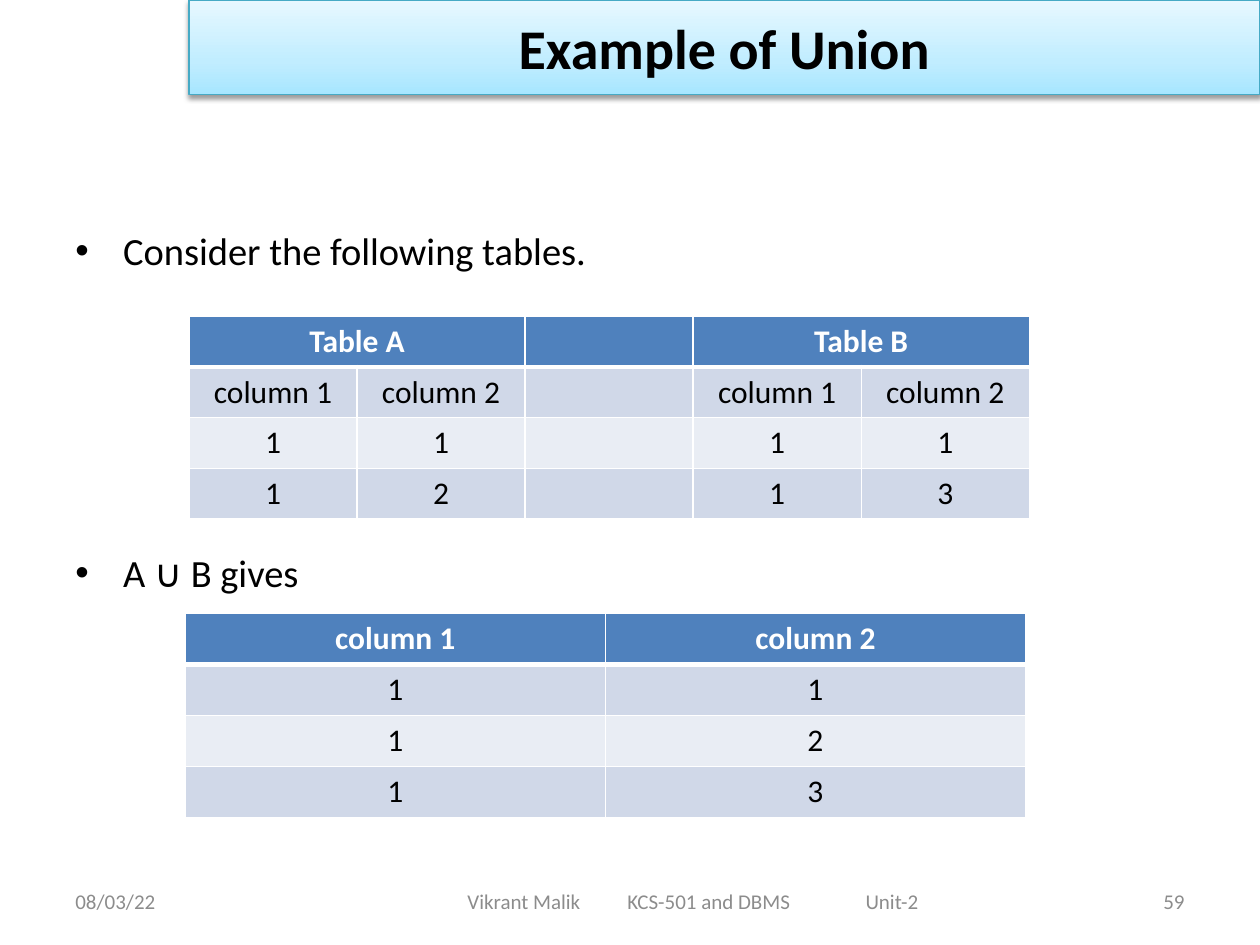
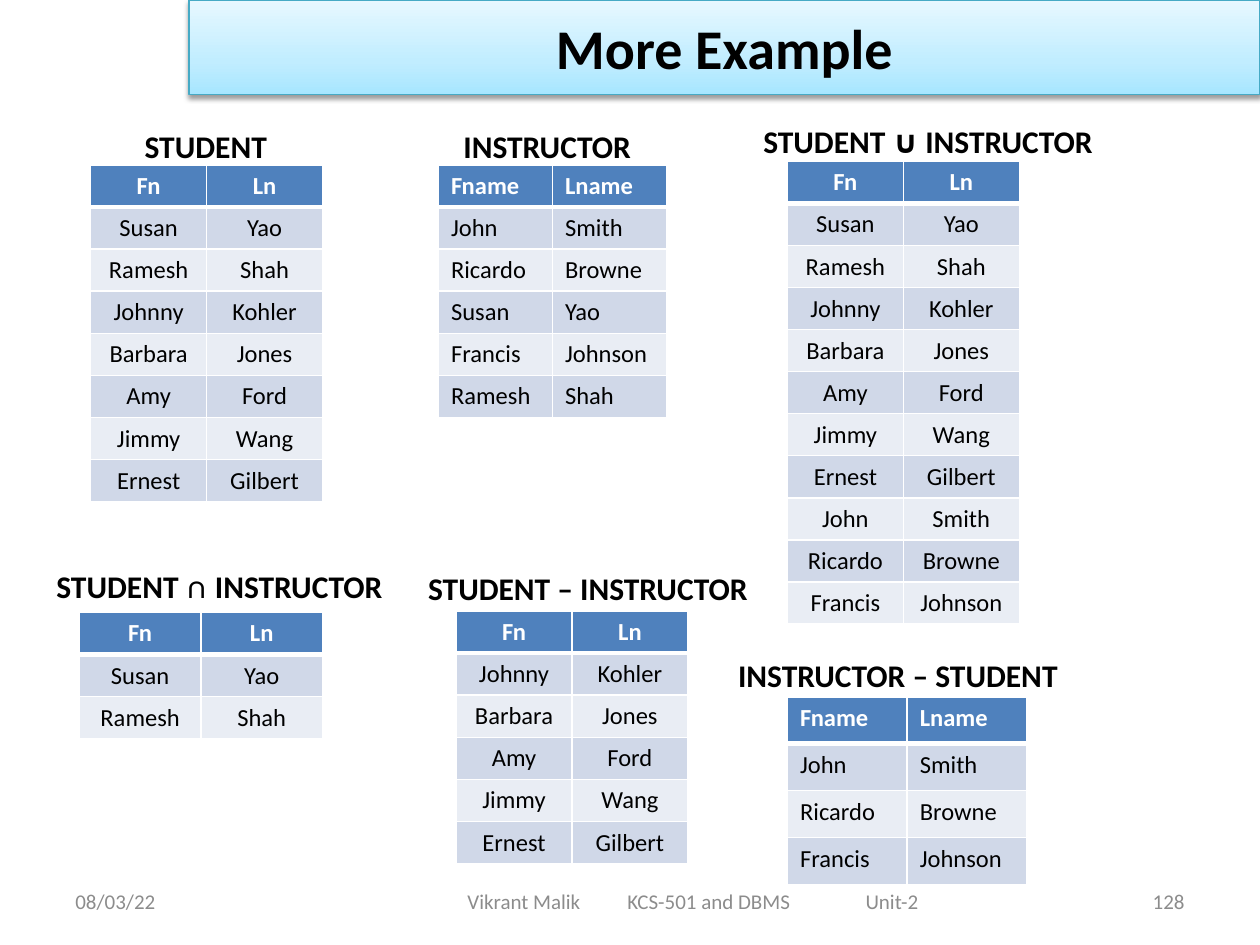
"""Builds two slides on set operations between relational tables."""
from copy import deepcopy

from lxml import etree
from pptx import Presentation
from pptx import util as u
from pptx.dml.color import RGBColor
from pptx.enum import shapes, text
from pptx.oxml.ns import qn

BLACK = RGBColor(0x00, 0x00, 0x00)
WHITE = RGBColor(0xFF, 0xFF, 0xFF)
GREY = RGBColor(0x8C, 0x8C, 0x8C)
HEADER_BLUE = RGBColor(0x4F, 0x81, 0xBD)
BANDS = (RGBColor(0xD0, 0xD8, 0xE8), RGBColor(0xE9, 0xED, 0xF4))
BANNER_LINE = RGBColor(0x46, 0xAA, 0xC5)
BANNER_STOPS = (
    (0, RGBColor(0xA7, 0xE6, 0xFF)),
    (0.35, RGBColor(0xC1, 0xED, 0xFF)),
    (1, RGBColor(0xE7, 0xF8, 0xFF)),
)
FONT = "Calibri"
LEFT, CENTER, RIGHT = text.PP_ALIGN.LEFT, text.PP_ALIGN.CENTER, text.PP_ALIGN.RIGHT
MIDDLE, TOP = text.MSO_ANCHOR.MIDDLE, text.MSO_ANCHOR.TOP

DATE = "08/03/22"
COURSE = "Vikrant Malik\tKCS-501 and DBMS\tUnit-2"
COURSE_TABS = (1.27, 3.16)

BULLETS = (("Consider the following tables.", 0), ("A ∪ B gives", 158))
TABLES_A_B = [
    ("Table A", "", "", "Table B", ""),
    ("column 1", "column 2", "", "column 1", "column 2"),
    ("1", "1", "", "1", "1"),
    ("1", "2", "", "1", "3"),
]
UNION_OF_A_B = [("column 1", "column 2"), ("1", "1"), ("1", "2"), ("1", "3")]

STUDENTS = [
    ("Susan", "Yao"), ("Ramesh", "Shah"), ("Johnny", "Kohler"), ("Barbara", "Jones"),
    ("Amy", "Ford"), ("Jimmy", "Wang"), ("Ernest", "Gilbert"),
]
INSTRUCTORS = [
    ("John", "Smith"), ("Ricardo", "Browne"), ("Susan", "Yao"),
    ("Francis", "Johnson"), ("Ramesh", "Shah"),
]
BOTH = [name for name in STUDENTS if name in INSTRUCTORS]
ONLY_STUDENTS = [name for name in STUDENTS if name not in BOTH]
ONLY_INSTRUCTORS = [name for name in INSTRUCTORS if name not in BOTH]
SHORT, LONG = ("Fn", "Ln"), ("Fname", "Lname")

RELATIONS = [
    ("STUDENT", (1.05, 0.96, 1.65), (0.72, 1.31, 1.84, 2.67), SHORT, STUDENTS),
    ("INSTRUCTOR", (3.58, 0.96, 1.54), (3.48, 1.31, 1.81, 2), LONG, INSTRUCTORS),
    ("STUDENT ∪ INSTRUCTOR", (5.96, 0.92, 2.89), (6.25, 1.28, 1.84, 3.67), SHORT,
     STUDENTS + ONLY_INSTRUCTORS),
    ("STUDENT ∩ INSTRUCTOR", (0.35, 4.45, 2.87), (0.63, 4.86, 1.93, 1), SHORT, BOTH),
    ("STUDENT – INSTRUCTOR", (3.3, 4.47, 2.87), (3.62, 4.85, 1.84, 2), SHORT, ONLY_STUDENTS),
    ("INSTRUCTOR – STUDENT", (5.76, 5.16, 2.87), (6.25, 5.53, 1.9, 1.49), LONG,
     ONLY_INSTRUCTORS),
]


def inches(lengths):
    return [u.Inches(length) for length in lengths]


def assign(target, values):
    for name, value in values.items():
        setattr(target, name, value)


def write(para, words, size, color=BLACK, bold=False, align=LEFT):
    para.alignment = align
    span = para.add_run()
    span.text = words
    assign(span.font, {"name": FONT, "size": u.Pt(size), "bold": bold})
    span.font.color.rgb = color


def add_text(page, place, words, size, anchor=TOP, **style):
    frame = page.shapes.add_textbox(*inches(place)).text_frame
    assign(frame, {"word_wrap": True, "vertical_anchor": anchor})
    write(frame.paragraphs[0], words, size, **style)
    return frame


def add_banner(page, title):
    banner = page.shapes.add_shape(
        shapes.MSO_SHAPE.RECTANGLE, *inches((1.5, 0, 8.5, 0.75)))
    banner.fill.gradient()
    banner.fill.gradient_angle = 90
    stops = next(banner.element.iter(qn("a:gsLst")))
    stops.insert(1, deepcopy(stops[0]))
    for stop, (position, color) in zip(banner.fill.gradient_stops, BANNER_STOPS):
        stop.position = position
        stop.color.rgb = color
    banner.line.color.rgb = BANNER_LINE
    banner.line.width = u.Pt(0.75)
    banner.shadow.inherit = False
    effects = next(banner.element.iter(qn("a:effectLst")))
    shadow = etree.SubElement(
        effects, qn("a:outerShdw"), blurRad=str(u.Pt(3.1)), dist=str(u.Pt(1.6)),
        dir="5400000", rotWithShape="0")
    color = etree.SubElement(shadow, qn("a:srgbClr"), val=str(BLACK))
    etree.SubElement(color, qn("a:alpha"), val="38000")
    banner.text_frame.vertical_anchor = MIDDLE
    write(banner.text_frame.paragraphs[0], title, 32, bold=True, align=CENTER)


def add_footer(page, number):
    style = {"size": 12, "color": GREY, "anchor": MIDDLE}
    add_text(page, (0.5, 6.95, 2.33, 0.4), DATE, **style)
    course = add_text(page, (2.75, 6.95, 5.5, 0.4), COURSE, **style)
    course.margin_left = u.Inches(0.96)
    tabs = etree.SubElement(course.paragraphs[0]._p.get_or_add_pPr(), qn("a:tabLst"))
    for position in COURSE_TABS:
        etree.SubElement(tabs, qn("a:tab"), pos=str(u.Inches(position)), algn="l")
    add_text(page, (7.17, 6.95, 2.33, 0.4), str(number), align=RIGHT, **style)


def add_page(deck, title, number):
    page = deck.slides.add_slide(deck.slide_layouts[6])
    add_footer(page, number)
    add_banner(page, title)
    return page


def add_bullets(page):
    frame = page.shapes.add_textbox(*inches((0.5, 1.75, 9, 4.95))).text_frame
    frame.word_wrap = True
    for index, (words, gap) in enumerate(BULLETS):
        para = frame.add_paragraph() if index else frame.paragraphs[0]
        para.space_before = u.Pt(gap)
        properties = para._p.get_or_add_pPr()
        properties.set("marL", str(u.Inches(0.38)))
        properties.set("indent", str(u.Inches(-0.38)))
        etree.SubElement(properties, qn("a:buFont"), typeface="Arial")
        etree.SubElement(properties, qn("a:buChar"), char="•")
        write(para, words, 22)


def set_borders(cell, row_number):
    properties = cell._tc.get_or_add_tcPr()
    widths = {"L": 1, "R": 1, "T": 3 if row_number == 1 else 1,
              "B": 3 if row_number == 0 else 1}
    for side, width in widths.items():
        line = etree.SubElement(properties, qn(f"a:ln{side}"), w=str(u.Pt(width)))
        fill = etree.SubElement(line, qn("a:solidFill"))
        etree.SubElement(fill, qn("a:srgbClr"), val=str(WHITE))


def add_grid(page, place, rows, size, anchor, align=CENTER, merged=()):
    columns = len(rows[0])
    table = page.shapes.add_table(len(rows), columns, *inches(place)).table
    assign(table, {"first_row": False, "horz_banding": False})
    for row_number, row in enumerate(rows):
        header = row_number == 0
        for column, words in enumerate(row):
            cell = table.cell(row_number, column)
            set_borders(cell, row_number)
            cell.fill.solid()
            cell.fill.fore_color.rgb = HEADER_BLUE if header else BANDS[(row_number - 1) % 2]
            cell.vertical_anchor = anchor
            if words:
                write(cell.text_frame.paragraphs[0], words, size,
                      WHITE if header else BLACK, header, align)
    for column in merged:
        table.cell(0, column).merge(table.cell(0, column + 1))


def main():
    deck = Presentation()
    deck.slide_width, deck.slide_height = inches((10, 7.5))

    page = add_page(deck, "Example of Union", 59)
    add_bullets(page)
    add_grid(page, (1.5, 2.51, 6.67, 1.61), TABLES_A_B, 18, MIDDLE, merged=(0, 3))
    add_grid(page, (1.47, 4.87, 6.67, 1.62), UNION_OF_A_B, 18, MIDDLE)

    page = add_page(deck, "More Example", 128)
    for title, label, place, header, names in RELATIONS:
        add_grid(page, place, [header] + names, 14, TOP,
                 align=LEFT if header == LONG else CENTER)
        add_text(page, (*label, 0.4), title, 18, bold=True)
    deck.save("out.pptx")


if __name__ == "__main__":
    main()
